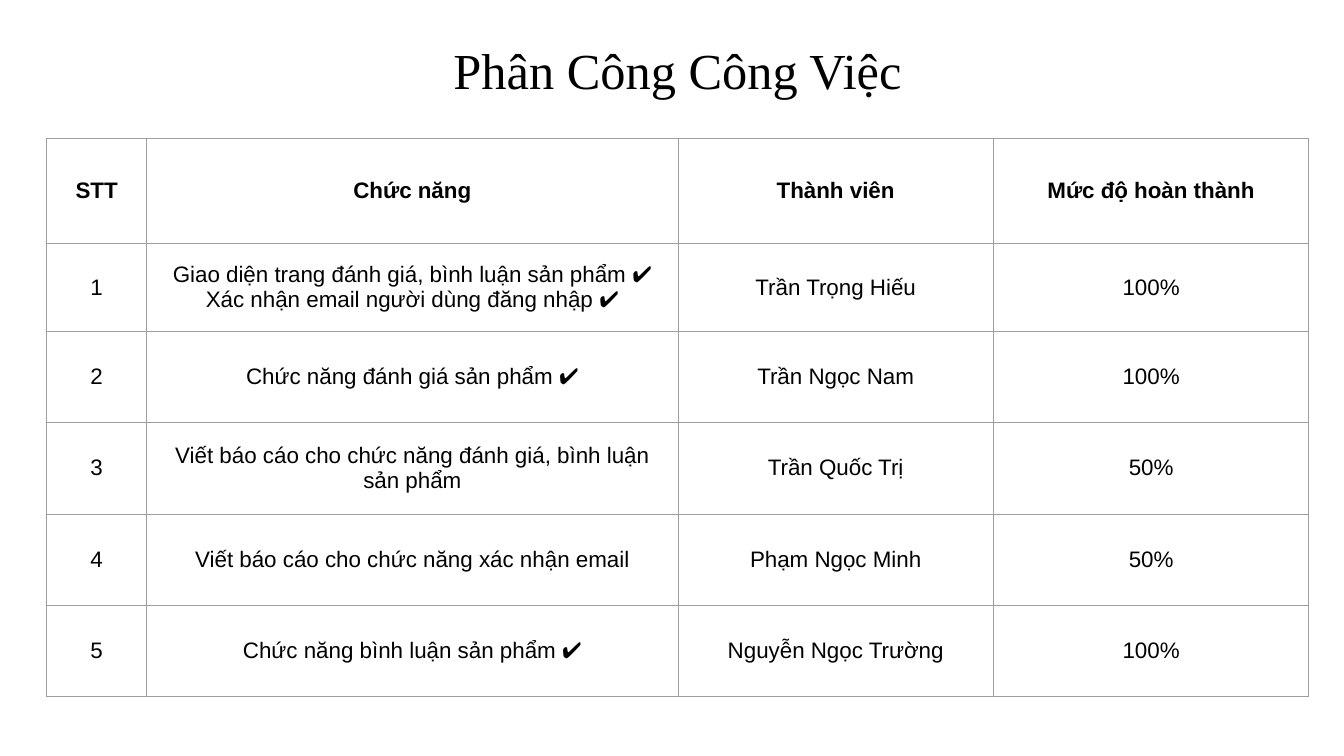
"""Build the task assignment slide: a centred title above a bordered table."""
from lxml import etree
from pptx import Presentation
from pptx.dml.color import RGBColor
from pptx.enum import text
from pptx.oxml import ns
from pptx.util import Pt

BLACK = RGBColor(0x00, 0x00, 0x00)
GRAY = RGBColor(0x9E, 0x9E, 0x9E)

TITLE_BOX = {"left": 64, "top": 24, "width": 840, "height": 51}
TITLE_FONT = {"name": "Times New Roman", "size": Pt(36), "bold": False}
CELL_FONT = {"name": "Arial", "size": Pt(16)}
MARGINS = ("margin_left", "margin_right", "margin_top", "margin_bottom")
COL_WIDTHS = [71.5, 379.5, 225.3, 225.3]
ROW_HEIGHTS = [75, 62.7] + [65.3] * 4
ROWS = [
    ("STT", "Chức năng", "Thành viên", "Mức độ hoàn thành"),
    ("1", "Giao diện trang đánh giá, bình luận sản phẩm ✔️\n"
          "Xác nhận email người dùng đăng nhập ✔️", "Trần Trọng Hiếu", "100%"),
    ("2", "Chức năng đánh giá sản phẩm ✔️", "Trần Ngọc Nam", "100%"),
    ("3", "Viết báo cáo cho chức năng đánh giá, bình luận sản phẩm",
     "Trần Quốc Trị", "50%"),
    ("4", "Viết báo cáo cho chức năng xác nhận email", "Phạm Ngọc Minh", "50%"),
    ("5", "Chức năng bình luận sản phẩm ✔️", "Nguyễn Ngọc Trường", "100%"),
]


def format_text(tf, font):
    for p in tf.paragraphs:
        p.alignment = text.PP_ALIGN.CENTER
        for r in p.runs:
            r.font.color.rgb = BLACK
            for key, value in font.items():
                setattr(r.font, key, value)


def add_borders(cell):
    tcPr = cell._tc.get_or_add_tcPr()
    for i, side in enumerate(("lnL", "lnR", "lnT", "lnB")):
        ln = etree.Element(ns.qn(f"a:{side}"), w=str(int(Pt(0.75))))
        fill = etree.SubElement(ln, ns.qn("a:solidFill"))
        etree.SubElement(fill, ns.qn("a:srgbClr"), val=str(GRAY))
        tcPr.insert(i, ln)


prs = Presentation()
prs.slide_width, prs.slide_height = Pt(960), Pt(540)
s = prs.slides.add_slide(prs.slide_layouts[5])

title = s.shapes.title
for key, value in TITLE_BOX.items():
    setattr(title, key, Pt(value))
tf = title.text_frame
tf.text = "Phân Công Công Việc"
tf.word_wrap = True
tf.auto_size = text.MSO_AUTO_SIZE.NONE
tf.vertical_anchor = text.MSO_ANCHOR.MIDDLE
format_text(tf, TITLE_FONT)

frame = s.shapes.add_table(len(ROWS), len(COL_WIDTHS), Pt(33.3), Pt(98.9),
                           Pt(sum(COL_WIDTHS)), Pt(sum(ROW_HEIGHTS)))
table = frame.table
table.horz_banding = False
for col, width in zip(table.columns, COL_WIDTHS):
    col.width = Pt(width)
for row, height, values in zip(table.rows, ROW_HEIGHTS, ROWS):
    row.height = Pt(height)
    for cell, value in zip(row.cells, values):
        cell.text = value
        cell.vertical_anchor = text.MSO_ANCHOR.MIDDLE
        for margin in MARGINS:
            setattr(cell, margin, Pt(7.2))
        cell.fill.background()
        add_borders(cell)
        format_text(cell.text_frame, {**CELL_FONT, "bold": values is ROWS[0]})

prs.save("out.pptx")
